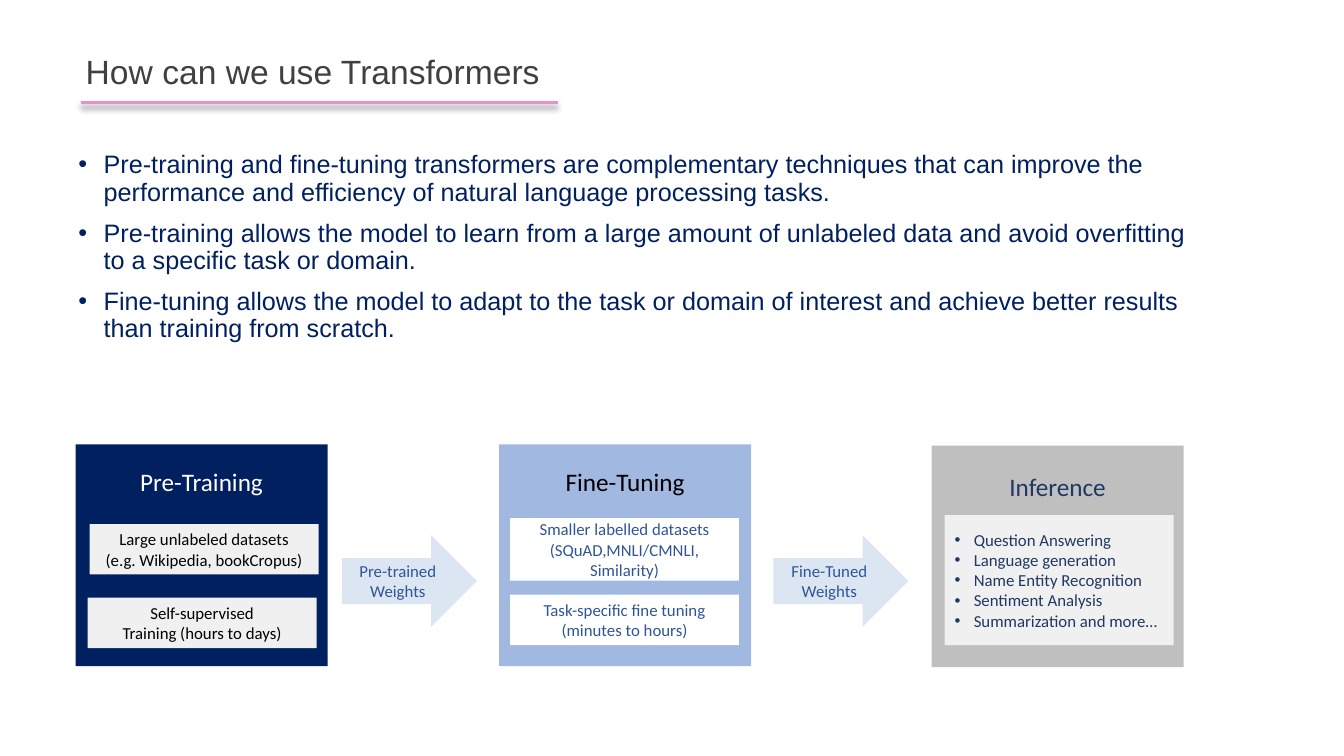
"""Build a slide on pre-training, fine-tuning and inference with transformers."""
from dataclasses import dataclass
from typing import Optional

from lxml.etree import SubElement
from pptx import Presentation
from pptx.dml.color import RGBColor as RGB
from pptx.enum.shapes import MSO_CONNECTOR as LINE, MSO_SHAPE as SHAPE
from pptx.enum.text import MSO_ANCHOR as ANCHOR, PP_ALIGN as ALIGN
from pptx.oxml.ns import qn
from pptx.util import Inches, Pt


@dataclass(frozen=True)
class Theme:
    navy: str = "002060"
    deep: str = "203864"
    blue: str = "2F5597"
    sky: str = "A1B8E1"
    pale: str = "DCE6F2"
    grey: str = "BFBFBF"
    light: str = "F0F0F0"
    dark: str = "404040"
    pink: str = "E890CB"
    white: str = "FFFFFF"
    black: str = "000000"
    head: str = "Arial"
    body: str = "Calibri"
    title_size: float = 24
    text_size: float = 18
    label_size: float = 12


T = Theme()


@dataclass(frozen=True)
class Box:
    left: float
    top: float
    width: float
    height: float
    fill: str
    color: str
    lines: tuple[str, ...]
    size: float = T.label_size
    kind: SHAPE = SHAPE.RECTANGLE
    indent: float = 0
    heading_inset: Optional[float] = None


STAGE = (2.5, 2.2)
CARD_W, CARD_H = 2.27, 0.5
ARROW = (1.34, 0.91)

BOXES = (
    Box(0.75, 4.41, *STAGE, T.navy, T.white, ("Pre-Training",),
        T.text_size, heading_inset=0.22),
    Box(4.95, 4.41, *STAGE, T.sky, T.black, ("Fine-Tuning",),
        T.text_size, heading_inset=0.22),
    Box(9.24, 4.42, *STAGE, T.grey, T.deep, ("Inference",),
        T.text_size, heading_inset=0.26),
    Box(0.89, 5.2, CARD_W, CARD_H, T.light, T.black,
        ("Large unlabeled datasets", "(e.g. Wikipedia, bookCropus)")),
    Box(0.87, 5.93, CARD_W, CARD_H, T.light, T.black,
        ("Self-supervised", "Training (hours to days)")),
    Box(5.06, 5.14, CARD_W, 0.62, T.white, T.blue,
        ("Smaller labelled datasets", "(SQuAD,MNLI/CMNLI,", "Similarity)")),
    Box(5.06, 5.9, CARD_W, CARD_H, T.white, T.blue,
        ("Task-specific fine tuning", "(minutes to hours)")),
    Box(3.39, 5.31, *ARROW, T.pale, T.blue, ("Pre-trained", "Weights"),
        kind=SHAPE.RIGHT_ARROW),
    Box(7.67, 5.31, *ARROW, T.pale, T.blue, ("Fine-Tuned", "Weights"),
        kind=SHAPE.RIGHT_ARROW),
    Box(9.37, 5.11, CARD_W, 1.29, T.light, T.deep,
        ("Question Answering", "Language generation", "Name Entity Recognition",
         "Sentiment Analysis", "Summarization and more…"), indent=0.19),
)

POINTS = (
    "Pre-training and fine-tuning transformers are complementary techniques that can "
    "improve the performance and efficiency of natural language processing tasks.",
    "Pre-training allows the model to learn from a large amount of unlabeled data and "
    "avoid overfitting to a specific task or domain.",
    "Fine-tuning allows the model to adapt to the task or domain of interest and "
    "achieve better results than training from scratch.",
)


def write(sp, lines: tuple[str, ...], *, size: float, color: str, font: str = T.body,
          align: ALIGN = ALIGN.LEFT, anchor: ANCHOR = ANCHOR.MIDDLE,
          indent: float = 0, spacing: float = 1, before: float = 0) -> None:
    """Fill a shape with one formatted paragraph per line."""
    tf = sp.text_frame
    tf.word_wrap = True
    tf.vertical_anchor = anchor
    for i, line in enumerate(lines):
        p = tf.paragraphs[0] if i == 0 else tf.add_paragraph()
        if indent:
            pPr = p._p.get_or_add_pPr()
            pPr.set("marL", str(Inches(indent)))
            pPr.set("indent", str(-Inches(indent)))
            SubElement(pPr, qn("a:buFont"), typeface="Arial")
            SubElement(pPr, qn("a:buChar"), char="•")
        p.alignment = align
        p.line_spacing = spacing
        p.space_before = Pt(before if i else 0)
        r = p.add_run()
        r.text = line
        r.font.size = Pt(size)
        r.font.name = font
        r.font.color.rgb = RGB.from_string(color)


def add_box(s, box: Box) -> None:
    """Draw one filled stage, card or arrow with its text."""
    sp = s.shapes.add_shape(box.kind, Inches(box.left), Inches(box.top),
                            Inches(box.width), Inches(box.height))
    sp.shadow.inherit = False
    sp.fill.solid()
    sp.fill.fore_color.rgb = RGB.from_string(box.fill)
    sp.line.fill.background()
    anchor = ANCHOR.MIDDLE
    if box.heading_inset is not None:
        sp.text_frame.margin_top = Inches(box.heading_inset)
        anchor = ANCHOR.TOP
    write(sp, box.lines, size=box.size, color=box.color, anchor=anchor,
          align=ALIGN.LEFT if box.indent else ALIGN.CENTER, indent=box.indent)


def add_rule(s) -> None:
    """Draw the pink title rule with its soft shadow."""
    rule = s.shapes.add_connector(LINE.STRAIGHT, Inches(0.8), Inches(1.02),
                                  Inches(5.53), Inches(1.02))
    rule.line.color.rgb = RGB.from_string(T.pink)
    rule.line.width = Pt(2.25)
    effects = SubElement(rule._element.spPr, qn("a:effectLst"))
    shadow = SubElement(effects, qn("a:outerShdw"), blurRad=str(Pt(4)),
                        dist=str(Pt(3)), dir="5400000", rotWithShape="0")
    tint = SubElement(shadow, qn("a:srgbClr"), val=T.black)
    SubElement(tint, qn("a:alpha"), val="40000")


def main() -> None:
    """Build and save the slide."""
    prs = Presentation()
    prs.slide_width, prs.slide_height = Inches(13.33), Inches(7.5)
    s = prs.slides.add_slide(prs.slide_layouts[5])
    add_rule(s)
    title = s.shapes.title
    title.left, title.top = Inches(0.75), Inches(0.01)
    title.width, title.height = Inches(11.5), Inches(1.45)
    write(title, ("How can we use Transformers",), size=T.title_size,
          color=T.dark, font=T.head, spacing=0.9)
    body = s.shapes.add_textbox(Inches(0.68), Inches(1.46), Inches(11.19), Inches(5.86))
    write(body, POINTS, size=T.text_size, color=T.navy, font=T.head,
          anchor=ANCHOR.TOP, indent=0.25, spacing=0.9, before=10)
    for box in BOXES:
        add_box(s, box)
    prs.save("out.pptx")


if __name__ == "__main__":
    main()
